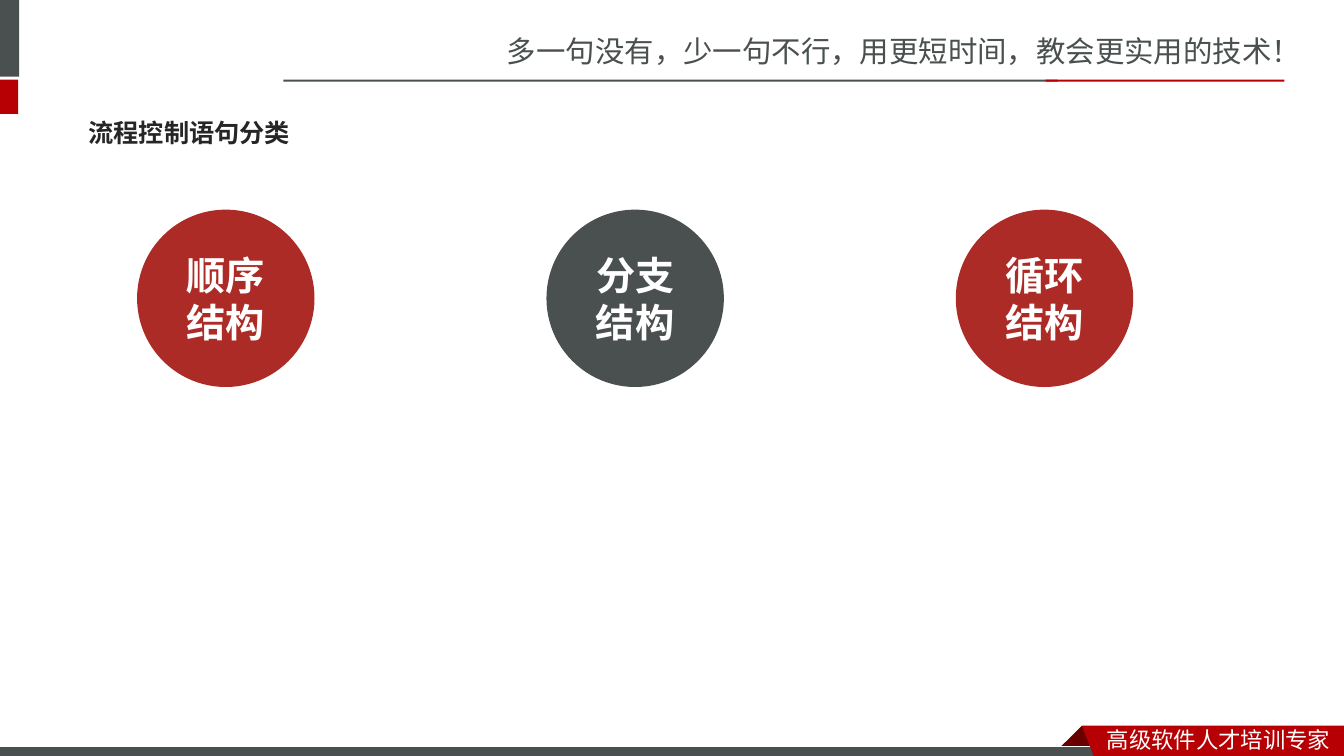
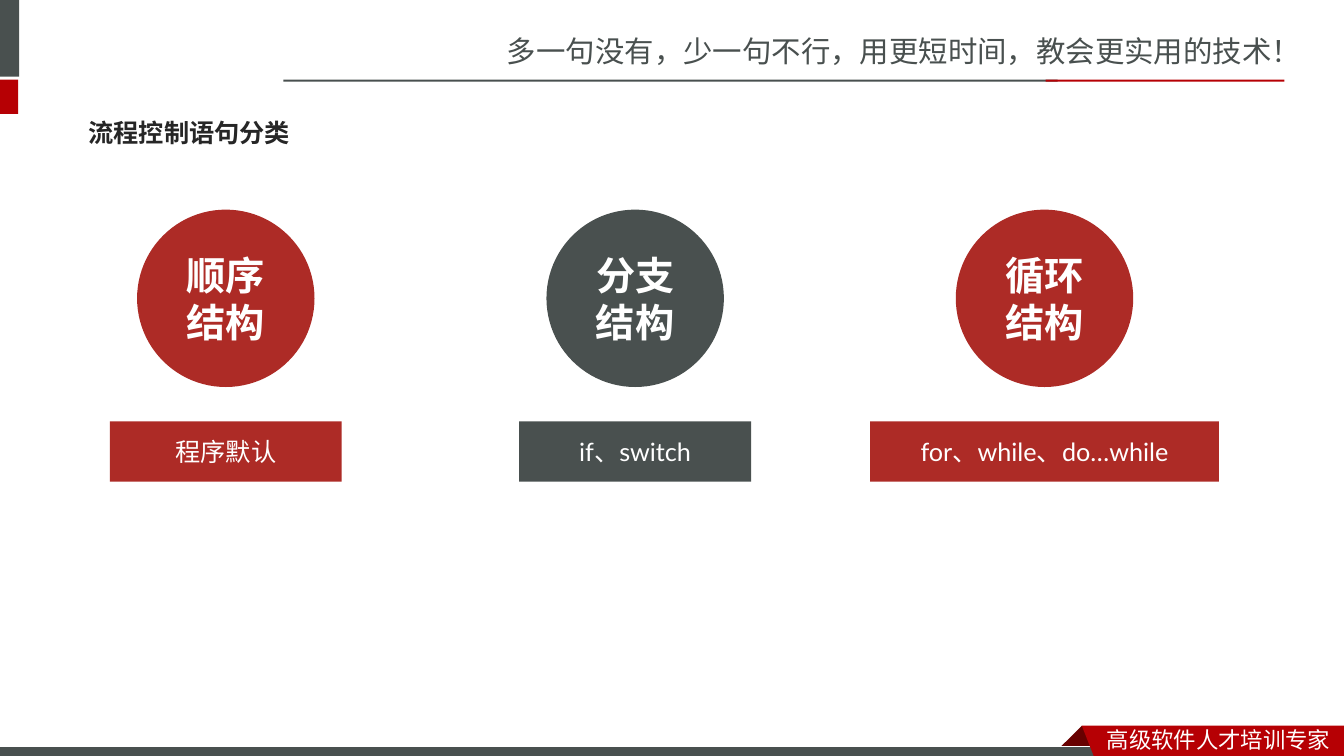
from lxml.etree import SubElement
from pptx import Presentation
from pptx.dml.color import RGBColor
from pptx.enum.shapes import MSO_SHAPE
from pptx.enum.text import MSO_ANCHOR, PP_ALIGN
from pptx.oxml.ns import qn
from pptx.util import Inches, Pt

GRAY, RED, DARK, BRICK = "49504F", "B60004", "680000", "AD2B26"
WHITE, INK = "FFFFFF", "262626"
SANS, TITLE = "Noto Sans CJK SC", "Noto Sans CJK JP"
FIRST, STEP, SIZE = 2.24, 4.06, 1.76
KINDS = [
    ("顺序结构", BRICK, "程序默认", 2.3),
    ("分支结构", GRAY, "if、switch", 2.3),
    ("循环结构", BRICK, "for、while、do…while", 3.46),
]


def tint(target, color):
    """Set the colour of a fill or a font from a hex string."""
    if hasattr(target, "solid"):
        target.solid()
        target.fore_color.rgb = RGBColor.from_string(color)
    else:
        target.color.rgb = RGBColor.from_string(color)


def paint(shape, color, edge=None):
    """Give a shape a flat fill, no shadow and an optional edge."""
    shape.shadow.inherit = False
    tint(shape.fill, color)
    if edge:
        tint(shape.line.fill, edge)
        shape.line.width = Pt(0.75)
    else:
        shape.line.fill.background()
    return shape


def write(shape, text, size=18, color=WHITE, font="Lato", east=SANS,
          bold=False, align=PP_ALIGN.LEFT, anchor=MSO_ANCHOR.TOP, side=0.1):
    """Put one formatted paragraph into a shape."""
    frame = shape.text_frame
    frame.word_wrap = True
    frame.vertical_anchor = anchor
    frame.margin_left = frame.margin_right = Inches(side)
    para = frame.paragraphs[0]
    para.alignment = align
    run = para.add_run()
    run.text = text
    run.font.size, run.font.bold, run.font.name = Pt(size), bold, font
    tint(run.font, color)
    SubElement(run._r.get_or_add_rPr(), qn("a:ea"), typeface=east)


def label(slide, box, text, **style):
    """Add a text box."""
    write(slide.shapes.add_textbox(*map(Inches, box)), text, **style)


def block(slide, box, color, kind=MSO_SHAPE.RECTANGLE, edge=None):
    """Add a filled preset shape."""
    return paint(slide.shapes.add_shape(kind, *map(Inches, box)), color, edge)


def outline(slide, points, color):
    """Add a filled polygon."""
    start, *rest = [(Inches(x), Inches(y)) for x, y in points]
    path = slide.shapes.build_freeform(*start)
    path.add_line_segments(rest, close=True)
    paint(path.convert_to_shape(), color)


def header(slide):
    """Draw the slogan, the side marks and the rule."""
    label(slide, (4.93, 0.28, 8.41, 0.47),
          "多一句没有，少一句不行，用更短时间，教会更实用的技术！",
          size=21, color=GRAY, font=SANS)
    block(slide, (-0.06, 0, 0.25, 0.76), GRAY)
    block(slide, (-0.06, 0.79, 0.24, 0.34), RED)
    block(slide, (2.81, 0.79, 7.68, 0.02), GRAY)
    block(slide, (10.37, 0.79, 2.37, 0.02), RED)


def footer(slide):
    """Draw the bottom band and its folded ribbon."""
    outline(slide, [(10.73, 7.2), (10.95, 7.42), (10.94, 7.43),
                    (10.52, 7.43), (10.51, 7.42)], DARK)
    block(slide, (-0.01, 7.41, 11, 0.12), GRAY, edge=WHITE)
    outline(slide, [(10.73, 7.2), (13.33, 7.2), (13.33, 7.54),
                    (10.86, 7.53)], RED)
    label(slide, (10.88, 7.15, 2.45, 0.37), "高级软件人才培训专家",
          size=16, font=SANS)


def build(deck, bars):
    """Add a slide of the three structures, with or without bars."""
    slide = deck.slides.add_slide(deck.slide_layouts[6])
    header(slide)
    footer(slide)
    label(slide, (0.78, 1.03, 11.76, 0.57), "流程控制语句分类", color=INK,
          font=TITLE, east=TITLE, bold=True, anchor=MSO_ANCHOR.MIDDLE)
    style = {"align": PP_ALIGN.CENTER, "anchor": MSO_ANCHOR.MIDDLE}
    for i, (name, color, words, width) in enumerate(KINDS):
        mid = FIRST + i * STEP
        disc = block(slide, (mid - SIZE / 2, 2.08, SIZE, SIZE), color,
                     kind=MSO_SHAPE.OVAL)
        write(disc, name, size=28, bold=True, **style)
        if bars:
            bar = block(slide, (mid - width / 2, 4.18, width, 0.6), color)
            write(bar, words, side=0, **style)


def main():
    """Build and save the deck."""
    deck = Presentation()
    deck.slide_width, deck.slide_height = Inches(13.33), Inches(7.5)
    for bars in (False, True):
        build(deck, bars)
    deck.save("out.pptx")


if __name__ == "__main__":
    main()
